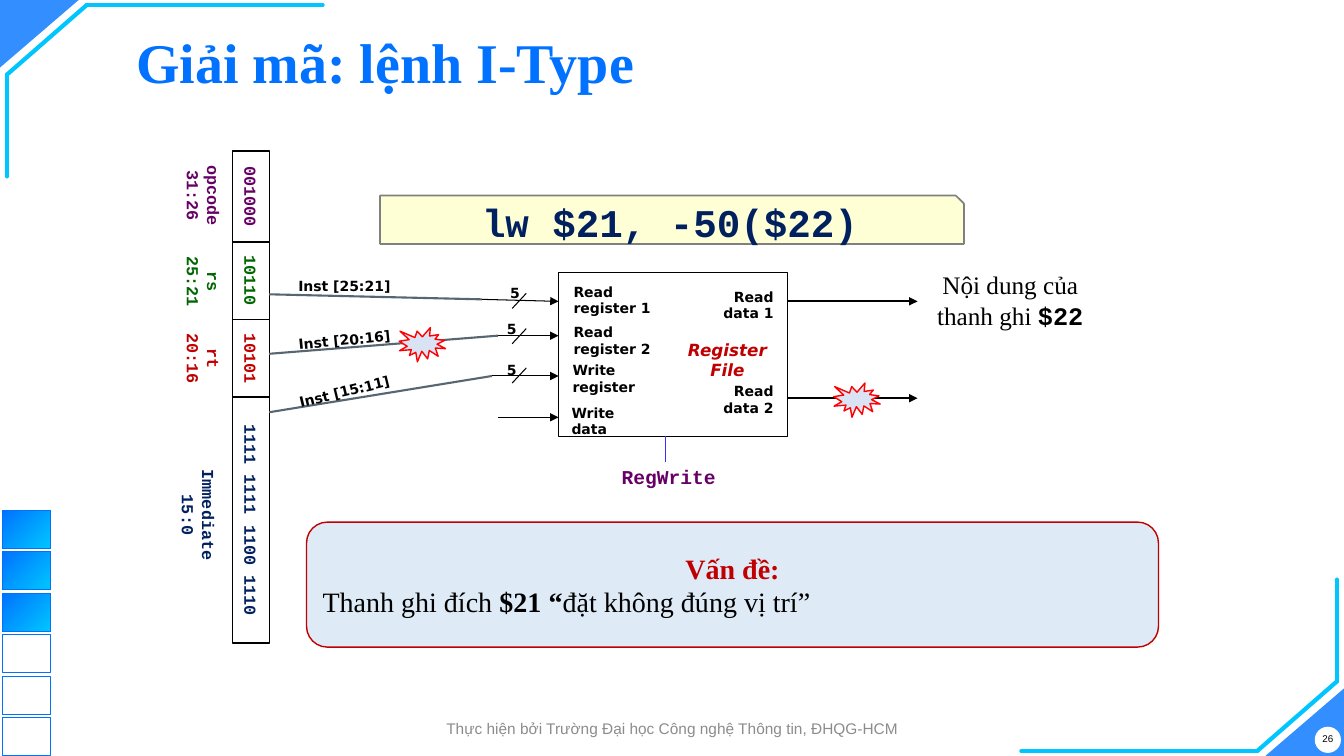
import itertools

import pptx
import pptx.dml.color
import pptx.enum.shapes
import pptx.enum.text
import pptx.oxml
import pptx.oxml.ns
import pptx.util
from pptx.util import Inches

SHAPE = pptx.enum.shapes.MSO_SHAPE
ALIGN = pptx.enum.text.PP_ALIGN
ANCHOR = pptx.enum.text.MSO_ANCHOR
WIDTH, HEIGHT = 13.33, 7.5
SERIF, SANS, MONO, LABEL = "Times New Roman", "Arial", "Courier New", "DejaVu Sans"
BLUE, CYAN, BLACK, RED = "0072FF", "00C6FF", "000000", "C00000"
PURPLE, GREEN, NAVY = "660066", "006600", "002060"


def color(value):
    return pptx.dml.color.RGBColor.from_string(value)


def add_xml(parent, tag, **attributes):
    element = pptx.oxml.parse_xml(f"<a:{tag} {pptx.oxml.ns.nsdecls('a')}/>")
    for name, value in attributes.items():
        element.set(name, value)
    parent.append(element)


def write(box, paras, size, font, ink, bold=False, italic=False,
          align=ALIGN.CENTER, anchor=ANCHOR.MIDDLE, wrap=True):
    """Each para is a string or a list of (text, font, bold) spans."""
    frame = box.text_frame
    frame.word_wrap = wrap
    frame.vertical_anchor = anchor
    # Short labels may use the free margin opposite their aligned side
    if not wrap and align == ALIGN.LEFT:
        frame.margin_right = 0
    if not wrap and align == ALIGN.RIGHT:
        frame.margin_left = 0
    for index, content in enumerate(paras):
        para = frame.paragraphs[0] if index == 0 else frame.add_paragraph()
        para.alignment = align
        para.font.size = pptx.util.Pt(size)
        para.font.name = font
        para.font.bold = bold
        para.font.italic = italic
        para.font.color.rgb = color(ink)
        if isinstance(content, str):
            para.add_run().text = content
            continue
        for text, span_font, span_bold in content:
            span = para.add_run()
            span.text = text
            span.font.name = span_font
            span.font.bold = span_bold


def add_text(page, at, paras, size, font, ink, rotation=0, **style):
    box = page.shapes.add_textbox(*map(Inches, at))
    box.rotation = rotation
    write(box, paras, size, font, ink, **style)
    return box


def add_label(page, at, paras, size=10, ink=BLACK, **style):
    style = {"anchor": ANCHOR.TOP, "wrap": False, "bold": True, **style}
    return add_text(page, at, paras, size, LABEL, ink, **style)


def add_shape(page, kind, at, fill=None, line=None, weight=1.0, opacity=100):
    shape = page.shapes.add_shape(kind, *map(Inches, at))
    shape.shadow.inherit = False
    if fill:
        shape.fill.solid()
        shape.fill.fore_color.rgb = color(fill)
        if opacity < 100:
            tone = next(shape._element.spPr.iter(pptx.oxml.ns.qn("a:srgbClr")))
            add_xml(tone, "alpha", val=str(opacity * 1000))
    else:
        shape.fill.background()
    if line:
        shape.line.color.rgb = color(line)
        shape.line.width = pptx.util.Pt(weight)
    else:
        shape.line.fill.background()
    return shape


def add_line(page, start, end, ink=BLACK, weight=0.75, arrow=False, rounded=False):
    line = page.shapes.add_connector(
        pptx.enum.shapes.MSO_CONNECTOR.STRAIGHT, *map(Inches, (*start, *end)))
    line.line.color.rgb = color(ink)
    line.line.width = pptx.util.Pt(weight)
    properties = line._element.spPr
    stroke = properties.find(pptx.oxml.ns.qn("a:ln"))
    if rounded:
        stroke.set("cap", "rnd")
    if arrow:
        add_xml(stroke, "tailEnd", type="triangle")
    add_xml(properties, "effectLst")


def add_frame(page):
    # Corner triangles and their angled lines, mirrored through the centre
    for at, rotation in (((0, 0), 180), ((12.55, 6.83), 0)):
        corner = add_shape(page, SHAPE.ISOSCELES_TRIANGLE, (*at, 0.78, 0.67), BLUE, opacity=80)
        corner.adjustments[0] = 1
        corner.rotation = rotation
    corner_points = [(3.2, 0.05), (0.86, 0.05), (0.07, 0.74), (0.07, 1.75)]
    mirrored = [(WIDTH - x, HEIGHT - y) for x, y in corner_points]
    for points in (corner_points, mirrored):
        for start, end in itertools.pairwise(points):
            add_line(page, start, end, CYAN, 3, rounded=True)

    # Progress squares on the left edge
    for index in range(6):
        at = (0.02, 5.06 + index * 0.412, 0.48, 0.38)
        square = add_shape(page, SHAPE.RECTANGLE, at, line=BLUE, weight=0.75)
        if index < 3:
            square.fill.gradient()
            square.fill.gradient_angle = 315
            for stop, tone in zip(square.fill.gradient_stops, (BLUE, CYAN)):
                stop.color.rgb = color(tone)

    # Page number and footer
    add_shape(page, SHAPE.OVAL, (13.04, 7.21, 0.26, 0.26), "FFFFFF")
    number = add_text(page, (13.01, 7.17, 0.32, 0.32), ["26"], 7, SANS, BLACK)
    number.text_frame.margin_left = number.text_frame.margin_right = 0
    add_text(page, (3.99, 7.08, 5.36, 0.29),
             ["Thực hiện bởi Trường Đại học Công nghệ Thông tin, ĐHQG-HCM"], 11, SANS, "8C8C8C")


def add_title(page, text):
    title = page.shapes.title
    title.left, title.top, title.width, title.height = map(Inches, (1.25, 0.16, 11.5, 0.98))
    write(title, [text], 40, SERIF, BLUE, bold=True, align=ALIGN.LEFT)
    title.text_frame.auto_size = pptx.enum.text.MSO_AUTO_SIZE.NONE
    title.text_frame.paragraphs[0].line_spacing = 0.9


def add_instruction(page):
    # Fields stacked downwards, each turned a quarter: bits, label, ink, length, label centre
    fields = [
        ("001000", ["opcode", "31:26"], PURPLE, 0.9, (2.02, 1.94)),
        ("10110", ["rs", "25:21"], GREEN, 0.77, (2.02, 2.79)),
        ("10101", ["rt", "20:16"], RED, 0.77, (2.02, 3.56)),
        ("1111 1111 1100 1110", ["Immediate", "15:0"], NAVY, 2.44, (1.97, 5.11)),
    ]
    top, breadth, center = 1.5, 0.37, 2.49
    for bits, label, ink, length, (label_x, label_y) in fields:
        at = (center - length / 2, top + length / 2 - breadth / 2, length, breadth)
        field = add_shape(page, SHAPE.RECTANGLE, at, "FFFFFF", BLACK)
        field.rotation = 90
        write(field, [bits], 12, MONO, ink, bold=True)
        add_text(page, (label_x - length / 2, label_y - 0.28, length, 0.56),
                 label, 12, MONO, ink, rotation=90, bold=True)
        top += length


def add_register_file(page):
    add_shape(page, SHAPE.RECTANGLE, (5.54, 2.7, 2.27, 1.63), "FFFFFF", BLACK, 0.75)
    add_line(page, (6.6, 4.33), (6.6, 4.58), "3333FF")
    add_text(page, (6.07, 4.56, 1.13, 0.33), ["RegWrite"], 14, MONO, PURPLE, bold=True,
             align=ALIGN.RIGHT, anchor=ANCHOR.TOP, wrap=False)
    add_label(page, (6.72, 3.32, 0.99, 0.5), ["Register", "File"], 12, RED, italic=True)

    # Port names
    inputs = [(5.59, 2.76, 0.96, "Read", "register 1"), (5.59, 3.16, 0.96, "Read", "register 2"),
              (5.58, 3.54, 0.81, "Write", "register"), (5.57, 3.96, 0.62, "Write", "data")]
    for left, top, width, *words in inputs:
        add_label(page, (left, top, width, 0.43), words, align=ALIGN.LEFT)
    for top, name, wire in ((2.81, "data 1", 2.99), (3.75, "data 2", 3.95)):
        add_label(page, (7.08, top, 0.69, 0.43), ["Read", name], align=ALIGN.RIGHT)
        add_line(page, (7.81, wire), (9.1, wire), weight=1.5, arrow=True)

    # Five-bit wires: source, bend, arrow end, slash top, width mark, name, name top, tilt
    wires = [
        (2.92, (4.78, 2.97), 2.99, 2.91, (4.96, 2.77), "Inst [25:21]", 2.7, 0),
        (3.51, (4.94, 3.33), 3.33, 3.26, (4.93, 3.13), "Inst [20:16]", 3.24, 354.4),
        (4.09, (4.88, 3.73), 3.73, 3.65, (4.93, 3.54), "Inst [15:11]", 3.75, 346.4),
    ]
    for source, bend, target, slash, mark, name, name_top, tilt in wires:
        add_line(page, (2.67, source), bend, "576671", 1.5)
        add_line(page, bend, (5.54, target), arrow=True)
        add_line(page, (5.22, slash), (5.08, slash + 0.15))
        add_label(page, (*mark, 0.29, 0.26), ["5"])
        add_label(page, (2.86, name_top, 1.11, 0.26), [name], rotation=tilt)
    add_line(page, (4.94, 4.14), (5.54, 4.14), arrow=True)

    # Bursts on the problem wires
    for at in ((3.96, 3.25), (8.27, 3.8)):
        add_shape(page, SHAPE.EXPLOSION1, (*at, 0.46, 0.34), "DAE3F3", "FF0000")


def add_notes(page):
    add_text(page, (9.1, 2.77, 1.84, 0.41),
             [[("Nội dung của thanh ghi ", SERIF, False), ("$22", MONO, True)]], 18, SERIF, BLACK)

    problem = add_shape(page, SHAPE.ROUNDED_RECTANGLE, (3.04, 5.18, 8.45, 1.24), "DEEBF7", RED)
    write(problem, ["Vấn đề:", [("Thanh ghi đích ", SERIF, False), ("$21 “", SERIF, True),
                                ("đặt không đúng vị trí”", SERIF, False)]], 20, SERIF, BLACK)
    heading, detail = problem.text_frame.paragraphs
    heading.font.bold = True
    heading.font.color.rgb = color(RED)
    detail.alignment = ALIGN.LEFT

    code = add_shape(page, SHAPE.SNIP_1_RECTANGLE, (3.77, 1.94, 5.79, 0.48),
                     "FFFFCC", "808080", 1.25, opacity=80)
    write(code, ["lw $21, -50($22)"], 28, MONO, NAVY, bold=True)


def main():
    deck = pptx.Presentation()
    deck.slide_width, deck.slide_height = Inches(WIDTH), Inches(HEIGHT)
    page = deck.slides.add_slide(deck.slide_layouts[5])
    add_frame(page)
    add_title(page, "Giải mã: lệnh I-Type")
    add_instruction(page)
    add_register_file(page)
    add_notes(page)
    deck.save("out.pptx")


if __name__ == "__main__":
    main()
